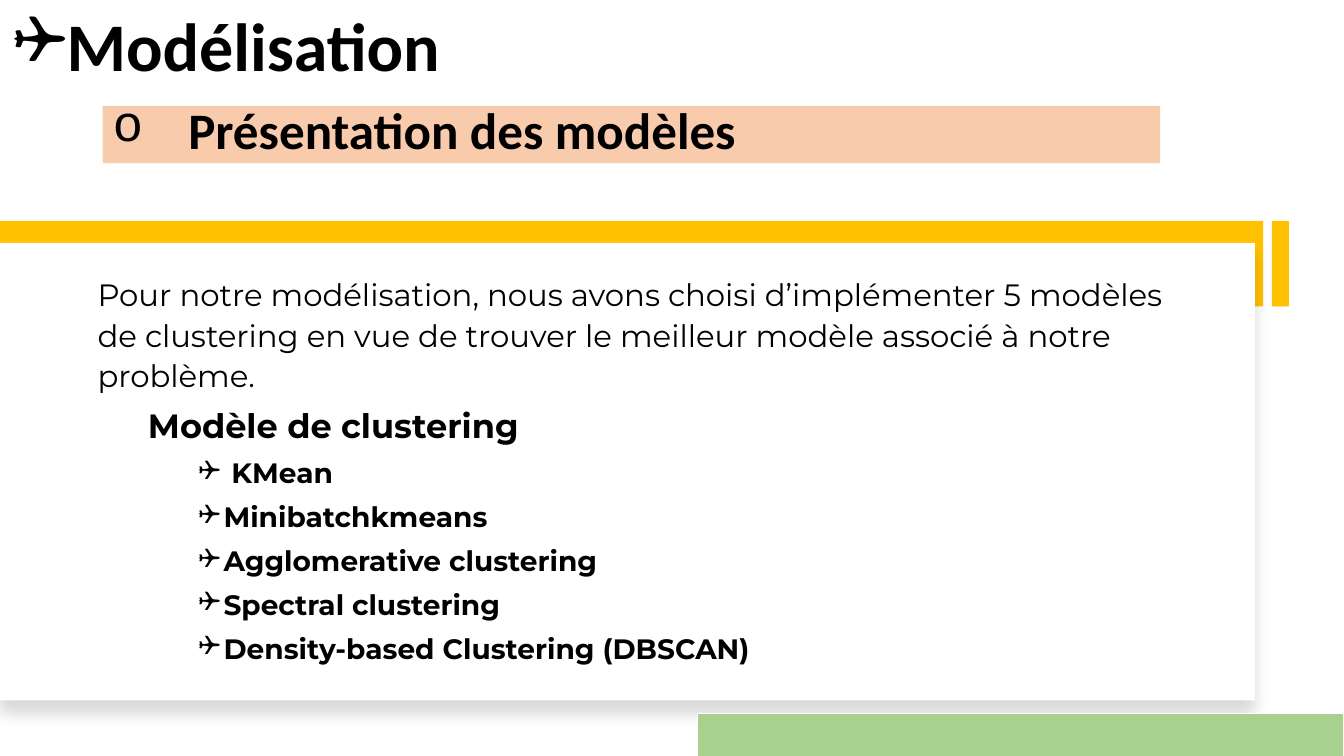
import lxml.etree
import pptx
import pptx.dml.color
import pptx.enum.shapes
import pptx.enum.text
import pptx.oxml
import pptx.oxml.ns
import pptx.util

Pt = pptx.util.Pt
ANCHOR = pptx.enum.text.MSO_ANCHOR
MODELS = [
    " KMean",
    "Minibatchkmeans",
    "Agglomerative clustering",
    "Spectral clustering",
    "Density-based Clustering (DBSCAN)",
]


def color(value):
    """Turn a hex string into a colour."""
    return pptx.dml.color.RGBColor.from_string(value)


def add_child(parent, tag, **attributes):
    """Append a DrawingML element with the given attributes."""
    child = lxml.etree.SubElement(parent, pptx.oxml.ns.qn(tag))
    for name, value in attributes.items():
        child.set(name, str(value))
    return child


def add_bar(slide, left, top, width, height, fill, line=None):
    """Draw a filled rectangle, with an outline if a line colour is given."""
    rectangle = pptx.enum.shapes.MSO_SHAPE.RECTANGLE
    shape = slide.shapes.add_shape(rectangle, Pt(left), Pt(top), Pt(width), Pt(height))
    shape.shadow.inherit = False
    shape.fill.solid()
    shape.fill.fore_color.rgb = color(fill)
    if line:
        shape.line.color.rgb = color(line)
        shape.line.width = Pt(0.75)
    else:
        shape.line.fill.background()
    return shape


def add_soft_shadow(shape):
    """Cast a pale blurred shadow straight down from a shape."""
    effects = shape._element.spPr.find(pptx.oxml.ns.qn("a:effectLst"))
    shadow = add_child(effects, "a:outerShdw", blurRad=Pt(11), dist=Pt(10),
                       dir=90 * 60000, algn="t", rotWithShape=0)
    black = add_child(shadow, "a:srgbClr", val="000000")
    add_child(black, "a:alpha", val=15000)


def prepare_frame(shape, anchor):
    """Wrap the text of a shape and anchor it."""
    frame = shape.text_frame
    frame.word_wrap = True
    frame.vertical_anchor = anchor
    return frame


def add_text_box(slide, left, top, width, height, anchor):
    """Add a wrapping text box and return its text frame."""
    box = slide.shapes.add_textbox(Pt(left), Pt(top), Pt(width), Pt(height))
    return prepare_frame(box, anchor)


def write(frame, text, size, font="Montserrat", bold=False, spacing=1.1, before=0,
          margin=0, indent=0, level=0, bullet=None, bullet_font="Wingdings"):
    """Write one paragraph, filling the empty first one before adding more."""
    paragraph = frame.paragraphs[0]
    if paragraph.runs:
        paragraph = frame.add_paragraph()
    paragraph.alignment = pptx.enum.text.PP_ALIGN.LEFT
    paragraph.level = level
    paragraph.line_spacing = spacing
    paragraph.space_before = Pt(before)
    properties = paragraph._p.get_or_add_pPr()
    properties.set("marL", str(Pt(margin)))
    properties.set("indent", str(Pt(indent)))
    if bullet:
        add_child(properties, "a:buFont", typeface=bullet_font)
        add_child(properties, "a:buChar", char=bullet)
    else:
        add_child(properties, "a:buNone")
    run = paragraph.add_run()
    run.text = text
    run.font.name = font
    run.font.size = Pt(size)
    run.font.bold = bold
    run.font.color.rgb = color("000000")


def add_panel(slide):
    """Draw the white panel with its yellow trim and the list of models."""
    add_bar(slide, 908.6, 157.7, 12.2, 61.2, "FFC000")
    add_bar(slide, 0, 157.7, 902.2, 61.2, "FFC000")
    add_soft_shadow(add_bar(slide, 0, 173.5, 896.4, 326.9, "FFFFFF"))
    frame = add_text_box(slide, 62.6, 181.4, 798.5, 306.7, ANCHOR.MIDDLE)
    write(frame, "Pour notre modélisation, nous avons choisi d’implémenter 5 modèles "
          "de clustering en vue de trouver le meilleur modèle associé à notre problème.",
          22, before=10)
    write(frame, "Modèle de clustering", 24, bold=True, before=5, margin=36, level=1)
    for model in MODELS:
        write(frame, model, 20, bold=True, before=5, margin=90, indent=-18, level=2,
              bullet="❑")


def add_headings(slide):
    """Write the slide title and the section band under it."""
    title = add_text_box(slide, 2.2, 3.6, 727.2, 61.2, ANCHOR.BOTTOM)
    write(title, "Modélisation", 48.6, font="Calibri", bold=True, spacing=0.9, bullet="❑")
    band = add_bar(slide, 73.4, 75.6, 755.3, 41, "F8CBAD")
    write(prepare_frame(band, ANCHOR.BOTTOM), "Présentation des modèles", 36.5,
          font="Calibri", bold=True, spacing=0.7, margin=54, indent=-54,
          bullet="o", bullet_font="Courier New")


def main():
    """Build and save the slide."""
    presentation = pptx.Presentation()
    presentation.slide_width = Pt(960)
    presentation.slide_height = Pt(540)
    slide = presentation.slides.add_slide(presentation.slide_layouts[6])
    add_panel(slide)
    add_bar(slide, 498.2, 509.8, 461.5, 36.7, "A9D18E", line="FFFFFF")
    add_headings(slide)
    presentation.save("out.pptx")


if __name__ == "__main__":
    main()
